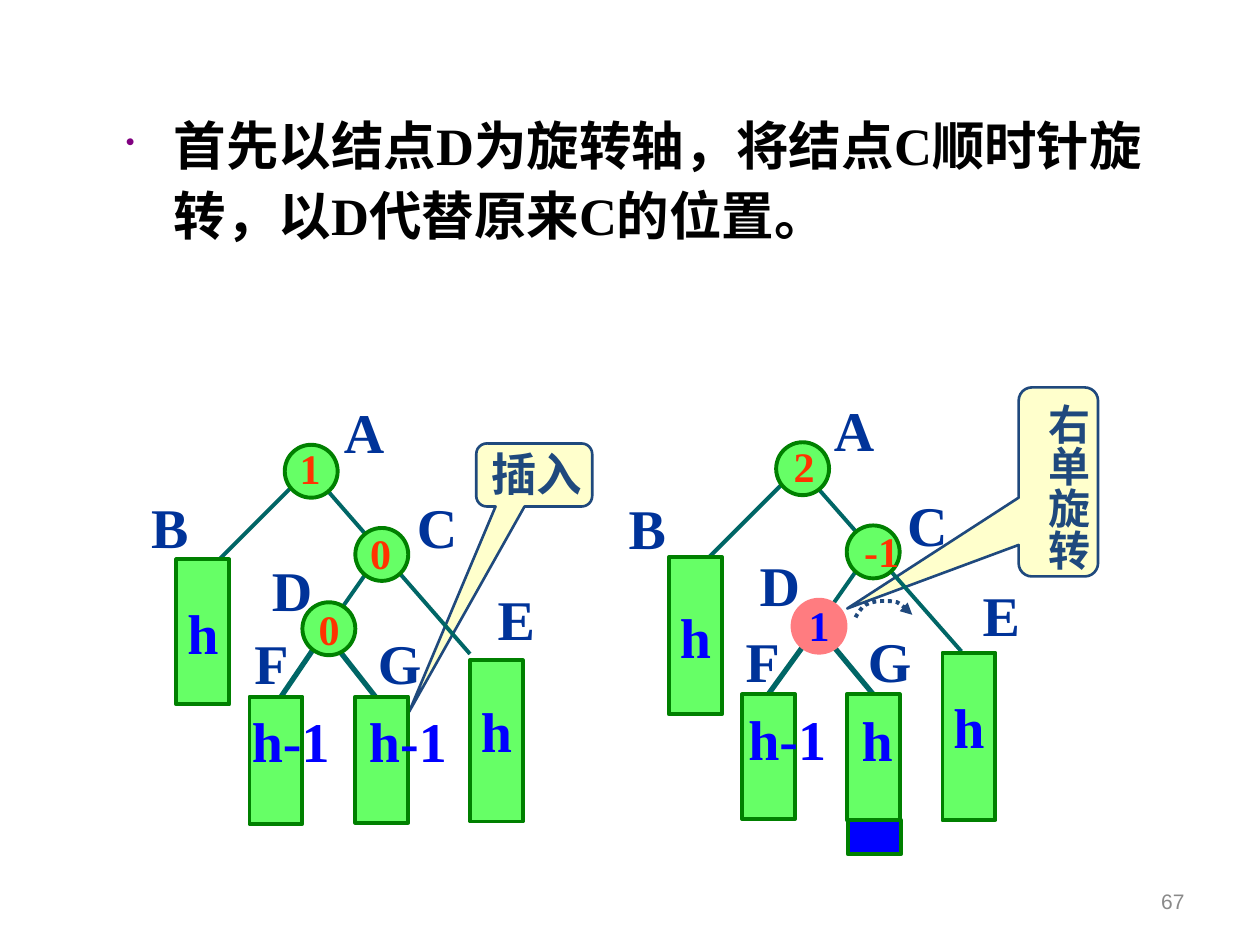
from typing import NamedTuple

from lxml import etree
from pptx import Presentation
from pptx.dml.color import RGBColor
from pptx.enum.dml import MSO_LINE
from pptx.enum.shapes import MSO_CONNECTOR, MSO_SHAPE
from pptx.enum.text import MSO_ANCHOR, MSO_AUTO_SIZE, PP_ALIGN
from pptx.oxml.ns import qn
from pptx.util import Inches, Pt

STRAIGHT = MSO_CONNECTOR.STRAIGHT
RECTANGLE, OVAL = MSO_SHAPE.RECTANGLE, MSO_SHAPE.OVAL
CALLOUT = MSO_SHAPE.ROUNDED_RECTANGULAR_CALLOUT
MIDDLE, CENTER, RIGHT = MSO_ANCHOR.MIDDLE, PP_ALIGN.CENTER, PP_ALIGN.RIGHT
FIT_SHAPE, DOTTED = MSO_AUTO_SIZE.SHAPE_TO_FIT_TEXT, MSO_LINE.ROUND_DOT

COLUMNS, ROWS = 100, 75
CELL = Inches(10) / COLUMNS
NODE_SIZE = 4.2
SERIF, SANS = "Times New Roman", "Arial"
COLORS = {
    "green": "66FF66", "border": "008000", "edge": "006666", "pink": "FF7C80",
    "blue": "0000FF", "name": "003399", "balance": "FF3300", "note": "FFFFCC",
    "navy": "1F497D", "bullet": "800080", "text": "000000", "number": "898989",
}
TEXT_WIDTHS = {
    "A": 5.2, "B": 4.9, "C": 5.2, "D": 5.2, "E": 4.9, "F": 4.7, "G": 5.4,
    "h": 4.5, "h-1": 8.2, "0": 3.6, "1": 3.6, "2": 3.6, "-1": 4.8,
}


class Box(NamedTuple):
    column: float
    row: float
    width: float
    height: float


class Label(NamedTuple):
    text: str
    column: float
    row: float
    color: str = "name"
    size: int = 32


class Edge(NamedTuple):
    start: tuple
    end: tuple
    width: float = 2.25
    joins: str = ""


class Subtree(NamedTuple):
    name: str
    box: Box
    text: str = ""
    spacing: float = 1.0
    color: str = "green"


class Node(NamedTuple):
    column: float
    row: float
    color: str = "green"
    border: str = "border"


class Note(NamedTuple):
    text: str
    box: Box
    tip: tuple
    text_box: Box
    size: int
    vertical: bool = False


class Tree(NamedTuple):
    note: Note
    edges: list
    subtrees: list
    nodes: list
    labels: list


LEFT_TREE = Tree(
    Note("插入", Box(37.8, 35.2, 9.2, 5), (-1.08, 3.76), Box(38, 34.9, 9.2, 5.4), 26),
    [Edge((25.7, 50.3), (22.3, 55.3), 3), Edge((26.5, 51.1), (29.8, 55.3), 3),
     Edge((23.2, 38.6), (15.7, 46.1)), Edge((25.7, 38.6), (37.3, 51.9)),
     Edge((29.2, 45.3), (25.7, 50.3))],
    [Subtree("B", Box(14, 44.4, 4.2, 11.5), "h"),
     Subtree("E", Box(37.3, 52.4, 4.2, 12.8), "h", 0.6),
     Subtree("F", Box(19.8, 55.3, 4.2, 10.1)),
     Subtree("G", Box(28.2, 55.3, 4.2, 10))],
    [Node(28.2, 41.9), Node(22.6, 35.3), Node(24, 47.8)],
    [Label("h-1", 28.3, 55.6, "blue"), Label("h-1", 19, 55.6, "blue"),
     Label("A", 26.3, 31.1), Label("C", 32.1, 38.6), Label("E", 38.5, 45.9),
     Label("D", 20.6, 43.6), Label("B", 11, 38.6), Label("F", 19.2, 49.4),
     Label("G", 29, 49.4), Label("1", 22.8, 34.6, "balance", 24),
     Label("0", 28.4, 41.4, "balance", 24), Label("0", 24.3, 47.4, "balance", 24)],
)
RIGHT_TREE = Tree(
    Note("右单旋转", Box(80.85, 30.75, 6.3, 15), (-2.66, 0.67),
         Box(81.3, 31, 6, 14.4), 24, True),
    [Edge((65.9, 51), (69.3, 55.1), 3, "G"), Edge((64.6, 50.1), (60.4, 55.9), 3),
     Edge((62.1, 38.4), (54.6, 45.9)), Edge((64.6, 38.4), (76.3, 51.7)),
     Edge((68.1, 45.1), (64.6, 50.1))],
    [Subtree("B", Box(53.1, 44.2, 4.2, 12.5), "h"),
     Subtree("E", Box(74.8, 51.8, 4.2, 13.3), "h", 0.6),
     Subtree("F", Box(58.9, 55.1, 4.2, 9.9)),
     Subtree("G", Box(67.2, 55.1, 4.2, 10)),
     Subtree("inserted", Box(67.3, 65.1, 4.2, 2.7), color="blue")],
    [Node(67.2, 41.7), Node(61.6, 35.1), Node(62.9, 47.6, "pink", "pink")],
    [Label("h", 67.4, 55.5, "blue"), Label("h-1", 58.4, 55.4, "blue"),
     Label("A", 65.2, 30.9), Label("C", 71, 38.4), Label("E", 77, 45.6),
     Label("D", 59.3, 43.2), Label("B", 48.9, 38.7), Label("F", 58.2, 49.2),
     Label("G", 67.9, 49.2), Label("2", 62, 34.5, "balance", 24),
     Label("-1", 67.6, 41.2, "balance", 24), Label("1", 63.2, 47.1, "blue", 24)],
)
ROTATION_CURVE = [
    (67.9, 49), (68.1, 48.6), (68.4, 48.2), (68.7, 48), (69.1, 47.8), (69.6, 47.7),
    (70, 47.7), (70.4, 47.7), (70.8, 47.7), (71.2, 47.8), (71.6, 48), (72.2, 48.6),
    (72.4, 48.8),
]


def units(*cells: float) -> list:
    return [round(cell * CELL) for cell in cells]


def rgb(name: str) -> RGBColor:
    return RGBColor.from_string(COLORS[name])


def write(frame, text: str, size: float, color: str, bold=True, font=SERIF):
    paragraph = frame.paragraphs[0]
    run = paragraph.add_run()
    run.text = text
    run.font.name, run.font.size, run.font.bold = font, Pt(size), bold
    run.font.color.rgb = rgb(color)
    return paragraph


def add_text(slide, box: Box, text: str, size: float, color: str):
    frame = slide.shapes.add_textbox(*units(*box)).text_frame
    frame.word_wrap = False
    frame.auto_size = FIT_SHAPE
    write(frame, text, size, color)
    return frame


def add_filled(slide, kind, box: Box, fill: str, line: str, width: float = 2.25):
    shape = slide.shapes.add_shape(kind, *units(*box))
    shape.shadow.inherit = False
    shape.fill.solid()
    shape.fill.fore_color.rgb = rgb(fill)
    shape.line.color.rgb = rgb(line)
    shape.line.width = Pt(width)
    return shape


def add_note(slide, note: Note) -> None:
    shape = add_filled(slide, CALLOUT, note.box, "note", "navy", 1.5)
    shape.adjustments[0], shape.adjustments[1] = note.tip
    frame = add_text(slide, note.text_box, note.text, note.size, "navy")
    if note.vertical:
        frame.margin_left = frame.margin_right = Inches(0.05)
        frame.margin_top = frame.margin_bottom = Inches(0.1)
        frame._txBody.bodyPr.set("vert", "eaVert")


def add_edge(slide, edge: Edge):
    connector = slide.shapes.add_connector(STRAIGHT, *units(*edge.start, *edge.end))
    connector.line.color.rgb = rgb("edge")
    connector.line.width = Pt(edge.width)
    etree.SubElement(connector.element.spPr, qn("a:effectLst"))
    return connector


def add_subtree(slide, subtree: Subtree):
    shape = add_filled(slide, RECTANGLE, subtree.box, subtree.color, "border")
    if subtree.text:
        frame = shape.text_frame
        frame.word_wrap, frame.vertical_anchor = False, MIDDLE
        paragraph = write(frame, subtree.text, 32, "blue")
        paragraph.alignment, paragraph.line_spacing = CENTER, subtree.spacing
    return shape


def add_tree(slide, tree: Tree) -> None:
    add_note(slide, tree.note)
    connectors = [add_edge(slide, edge) for edge in tree.edges]
    rectangles = {item.name: add_subtree(slide, item) for item in tree.subtrees}
    for edge, connector in zip(tree.edges, connectors):
        if edge.joins:
            connector.end_connect(rectangles[edge.joins], 0)
    for node in tree.nodes:
        box = Box(node.column, node.row, NODE_SIZE, NODE_SIZE)
        add_filled(slide, OVAL, box, node.color, node.border)
    for label in tree.labels:
        height = 6.4 if label.size == 32 else 5
        box = Box(label.column, label.row, TEXT_WIDTHS[label.text], height)
        add_text(slide, box, label.text, label.size, label.color)


def curve_point(controls: list, share: float) -> tuple:
    rest = 1 - share
    weights = (rest**3, 3 * rest**2 * share, 3 * rest * share**2, share**3)
    return tuple(sum(w * c[axis] for w, c in zip(weights, controls)) for axis in (0, 1))


def add_rotation_arrow(slide) -> None:
    points = [units(*curve_point(ROTATION_CURVE[first:first + 4], step / 5))
              for first in range(0, len(ROTATION_CURVE) - 1, 3) for step in range(1, 6)]
    builder = slide.shapes.build_freeform(*units(*ROTATION_CURVE[0]))
    builder.add_line_segments(points, close=False)
    arrow = builder.convert_to_shape()
    arrow.shadow.inherit = False
    arrow.fill.background()
    arrow.line.color.rgb = rgb("navy")
    arrow.line.width, arrow.line.dash_style = Pt(2.25), DOTTED
    etree.SubElement(arrow.element.spPr.find(qn("a:ln")), qn("a:tailEnd"), type="triangle")


def add_statement(slide) -> None:
    frame = slide.shapes.add_textbox(*units(9, 8, 83.5, 12)).text_frame
    frame.word_wrap = True
    paragraph = frame.paragraphs[0]
    paragraph.line_spacing = 1.1
    properties = paragraph._p.get_or_add_pPr()
    properties.set("marL", str(Inches(0.38)))
    properties.set("indent", str(-Inches(0.38)))
    color = etree.SubElement(properties, qn("a:buClr"))
    etree.SubElement(color, qn("a:srgbClr"), val=COLORS["bullet"])
    etree.SubElement(properties, qn("a:buSzPct"), val="50000")
    etree.SubElement(properties, qn("a:buChar"), char="•")
    write(frame, "首先以结点D为旋转轴，将结点C顺时针旋转，以D代替原来C的位置。", 30, "text")


def add_slide_number(slide) -> None:
    frame = slide.shapes.add_textbox(*units(71.7, 69.5, 23.3, 4)).text_frame
    frame.word_wrap, frame.vertical_anchor = True, MIDDLE
    write(frame, "67", 12, "number", False, SANS).alignment = RIGHT


def main() -> None:
    presentation = Presentation()
    presentation.slide_width, presentation.slide_height = units(COLUMNS, ROWS)
    slide = presentation.slides.add_slide(presentation.slide_layouts[6])
    add_slide_number(slide)
    for tree in (LEFT_TREE, RIGHT_TREE):
        add_tree(slide, tree)
    add_rotation_arrow(slide)
    add_statement(slide)
    presentation.save("out.pptx")


if __name__ == "__main__":
    main()
